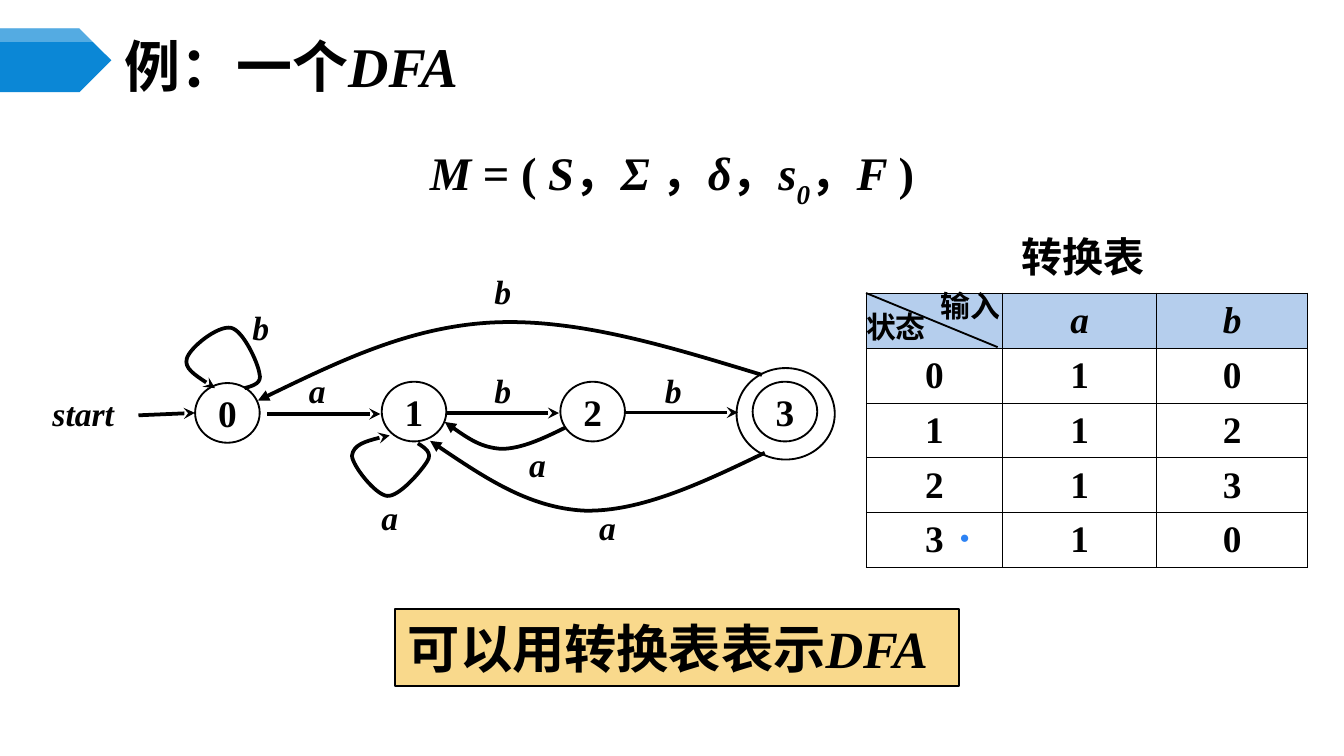
from lxml import etree
from pptx import Presentation
from pptx.dml.color import RGBColor
from pptx.enum.shapes import MSO_CONNECTOR, MSO_SHAPE
from pptx.enum.text import MSO_ANCHOR, MSO_AUTO_SIZE, PP_ALIGN
from pptx.oxml.ns import qn
from pptx.util import Pt

LEFT, CENTER = PP_ALIGN.LEFT, PP_ALIGN.CENTER
TOP, MIDDLE = MSO_ANCHOR.TOP, MSO_ANCHOR.MIDDLE
OVAL, RECTANGLE, PENTAGON = MSO_SHAPE.OVAL, MSO_SHAPE.RECTANGLE, MSO_SHAPE.PENTAGON
STRAIGHT = MSO_CONNECTOR.STRAIGHT

SERIF, SANS, DOT_FONT = "Times New Roman", "Noto Sans CJK SC", "Arial"
BLACK, WHITE, BLUE = "000000", "FFFFFF", "0B87D6"
HEADER_FILL, CALLOUT_FILL, DOT_COLOR = "B5CEED", "F9D98C", "2D83F4"
ITALIC = {"italic": True}
DFA = ("DFA", ITALIC)

TITLE = [("例：一个", {"font": SANS}), DFA]
CALLOUT = [("可以用转换表表示", {"font": SANS}), DFA]
FORMULA = [
    ("M ", ITALIC), ("= ( ", {}), ("S", ITALIC), ("，", {}), ("Σ ", ITALIC), ("，", {}),
    ("δ", ITALIC), ("，", {}), ("s", ITALIC), ("0", {"italic": True, "baseline": -30000}),
    ("，", {}), ("F ", ITALIC), (")", {}),
]
TRANSITIONS = [
    ["", "a", "b"],
    ["0", "1", "0"],
    ["1", "1", "2"],
    ["2", "1", "3"],
    ["3", "1", "0"],
]
COLUMN_WIDTHS = [73.2, 82.4, 81]
ROW_HEIGHT = 29.45

STATES = [("0", 121.8, 221.2), ("1", 221.8, 220.5), ("2", 317.5, 220.5), ("3", 420.5, 220.5)]
STATE_SIZE = (34.6, 32)
FINAL_RING = (394.6, 197.2, 52.6, 49)
ARROWS = [
    (74.2, 222.5, 104.4, 221.2),
    (143.3, 221.8, 203.8, 221.8),
    (239, 221.3, 299.5, 221.3),
    (334.8, 221, 395.3, 221),
]
EDGE_LABELS = [
    ("start", 44.6, 221.4), ("b", 139.7, 175.3), ("a", 170, 209.2), ("b", 269.3, 209.2),
    ("b", 360.7, 209.2), ("b", 269.3, 156), ("a", 208.8, 276.8), ("a", 288, 248.8),
    ("a", 325.4, 282.6),
]
# Each curve: arrowhead, then a start point and three Bezier points per segment.
CURVES = [
    ("stealth", [(131, 208), (136.1, 206.6), (140.4, 205.2), (139, 200.2),
                 (138.2, 194.4), (130.3, 177.1), (123.8, 175.7),
                 (116.6, 174.2), (101.5, 186.5), (100.1, 192.2),
                 (98.6, 197.3), (107.3, 203), (115.2, 208)]),
    ("stealth", [(223.9, 237.6), (227.5, 239.8), (231.8, 242.6), (229, 247),
                 (226.1, 252), (213.8, 266.4), (207.4, 265.7),
                 (200.9, 265), (188.6, 249.1), (188.6, 244.1),
                 (189.4, 238.3), (198.7, 235.4), (208.8, 233.3)]),
    ("triangle", [(408.2, 200.9), (358.6, 185.8), (309.6, 170.6), (264.2, 172.8),
                  (219.6, 175), (178.6, 195.1), (138.2, 214.6)]),
    ("triangle", [(409.7, 242.6), (376.6, 258.5), (343.4, 274.3), (313.2, 273.6),
                  (283.7, 272.2), (257, 254.2), (230.4, 236.2)]),
    ("triangle", [(303.1, 229), (291.6, 234.7), (279.4, 240.5), (268.6, 240.5),
                  (257.8, 239.8), (248.4, 233.3), (238.3, 226.1)]),
]


def color(value):
    return RGBColor.from_string(value)


def write(frame, spans, size, font=SERIF, fill=BLACK, bold=True, italic=False,
          align=CENTER, anchor=MIDDLE, margins=(0, 0), wrap=False):
    """Fill a text frame with one paragraph; spans is a string or (text, format) pairs."""
    frame.auto_size = MSO_AUTO_SIZE.NONE
    frame.word_wrap = wrap
    frame.vertical_anchor = anchor
    frame.margin_left = frame.margin_right = Pt(margins[0])
    frame.margin_top = frame.margin_bottom = Pt(margins[1])
    write_paragraph(frame.paragraphs[0], spans, size, font, fill, bold, italic, align)


def write_paragraph(para, spans, size, font=SERIF, fill=BLACK, bold=True,
                    italic=False, align=CENTER):
    para.alignment = align
    for text, style in [(spans, {})] if isinstance(spans, str) else spans:
        span = para.add_run()
        span.text = text
        span.font.size = Pt(size)
        span.font.bold = bold
        span.font.italic = style.get("italic", italic)
        span.font.color.rgb = color(fill)
        span.font.name = style.get("font", font)
        properties = span.font._element
        east_asian = DOT_FONT if font == DOT_FONT else SANS
        etree.SubElement(properties, qn("a:ea"), typeface=east_asian)
        if "baseline" in style:
            properties.set("baseline", str(style["baseline"]))


def add_text(page, spans, left, top, width, height, **style):
    box = page.shapes.add_textbox(Pt(left), Pt(top), Pt(width), Pt(height))
    write(box.text_frame, spans, **style)


def add_box(page, kind, left, top, width, height, fill=None, line=BLACK):
    box = page.shapes.add_shape(kind, Pt(left), Pt(top), Pt(width), Pt(height))
    paint(box, fill, line)
    return box


def paint(shape, fill, line, width=1):
    shape.shadow.inherit = False
    if fill:
        shape.fill.solid()
        shape.fill.fore_color.rgb = color(fill)
    else:
        shape.fill.background()
    if line:
        shape.line.color.rgb = color(line)
        shape.line.width = Pt(width)
    else:
        shape.line.fill.background()


def add_line(page, x1, y1, x2, y2, width, head=None):
    line = page.shapes.add_connector(STRAIGHT, Pt(x1), Pt(y1), Pt(x2), Pt(y2))
    line.line.color.rgb = color(BLACK)
    line.line.width = Pt(width)
    if head:
        add_head(line, head)
    etree.SubElement(line._element.spPr, qn("a:effectLst"))


def add_head(shape, head):
    etree.SubElement(shape.line._get_or_add_ln(), qn("a:tailEnd"), type=head)


def add_curve(page, head, points):
    """Draw a freeform through the points, then join each three into a Bezier segment."""
    start, *rest = [(Pt(x), Pt(y)) for x, y in points]
    builder = page.shapes.build_freeform(*start)
    builder.add_line_segments(rest, close=False)
    curve = builder.convert_to_shape()
    paint(curve, None, BLACK, 2)
    add_head(curve, head)
    outline = next(curve._element.iter(qn("a:path")))
    steps = outline.findall(qn("a:lnTo"))
    for first in range(0, len(steps), 3):
        segment = etree.SubElement(outline, qn("a:cubicBezTo"))
        for step in steps[first:first + 3]:
            segment.append(step[0])
            outline.remove(step)


def add_transition_table(page, left, top):
    table = page.shapes.add_table(
        len(TRANSITIONS), len(COLUMN_WIDTHS), Pt(left), Pt(top),
        Pt(sum(COLUMN_WIDTHS)), Pt(ROW_HEIGHT * len(TRANSITIONS))).table
    for column, width in zip(table.columns, COLUMN_WIDTHS):
        column.width = Pt(width)
    for row, values in enumerate(TRANSITIONS):
        table.rows[row].height = Pt(ROW_HEIGHT)
        for column, value in enumerate(values):
            cell = table.cell(row, column)
            cell.margin_top = cell.margin_bottom = 0
            cell.vertical_anchor = MIDDLE
            properties = cell._tc.get_or_add_tcPr()
            for side in ("a:lnL", "a:lnR", "a:lnT", "a:lnB"):
                border = etree.SubElement(properties, qn(side), w=str(Pt(0.45)))
                solid = etree.SubElement(border, qn("a:solidFill"))
                etree.SubElement(solid, qn("a:srgbClr"), val=BLACK)
            if row == 0:
                cell.fill.solid()
                cell.fill.fore_color.rgb = color(HEADER_FILL)
            else:
                cell.fill.background()
            if value:
                write_paragraph(cell.text_frame.paragraphs[0], value, 20, italic=row == 0)


deck = Presentation()
deck.slide_width, deck.slide_height = Pt(720), Pt(405)
page = deck.slides.add_slide(deck.slide_layouts[5])

title = page.shapes.title
title.left, title.top, title.width, title.height = Pt(60), Pt(21), Pt(624), Pt(28)
write(title.text_frame, TITLE, 30, align=LEFT, margins=(6.5, 0), wrap=True)

add_box(page, PENTAGON, 0, 15.2, 59.6, 34.2, BLUE, None)
gloss = add_box(page, PENTAGON, 0, 15.2, 59.6, 7.3, WHITE, None)
gloss_color = next(gloss._element.spPr.iter(qn("a:srgbClr")))
etree.SubElement(gloss_color, qn("a:alpha"), val="30000")

add_text(page, FORMULA, 28, 73.5, 664, 50, size=25, anchor=TOP, margins=(7.2, 3.6), wrap=True)
add_transition_table(page, 464, 157)

width, height = STATE_SIZE
for name, x, y in STATES:
    state = add_box(page, OVAL, x - width / 2, y - height / 2, width, height, WHITE)
    write(state.text_frame, name, 20)
add_box(page, OVAL, *FINAL_RING)
for arrow in ARROWS:
    add_line(page, *arrow, 2, "stealth")
for head, points in CURVES:
    add_curve(page, head, points)
for label, x, y in EDGE_LABELS:
    add_text(page, label, x - 30, y - 15.5, 60, 31, size=18, italic=True)

add_text(page, "转换表", 515, 118, 130, 38, size=22, font=SANS)
add_text(page, "状态", 457, 162, 46, 27, size=16, anchor=TOP, margins=(7.2, 3.6))
add_text(page, "输入", 497, 150.5, 46, 27, size=16, anchor=TOP, margins=(7.2, 3.6))
add_line(page, 464, 157, 534.5, 186, 1)

callout = add_box(page, RECTANGLE, 211.5, 326.5, 302.5, 41, CALLOUT_FILL)
write(callout.text_frame, CALLOUT, 28, align=LEFT, margins=(7.2, 0))
add_text(page, "●", 507, 278.6, 19.5, 18, size=9, font=DOT_FONT, fill=DOT_COLOR,
         bold=False, align=LEFT, anchor=TOP, margins=(7.2, 3.6))

deck.save("out.pptx")
